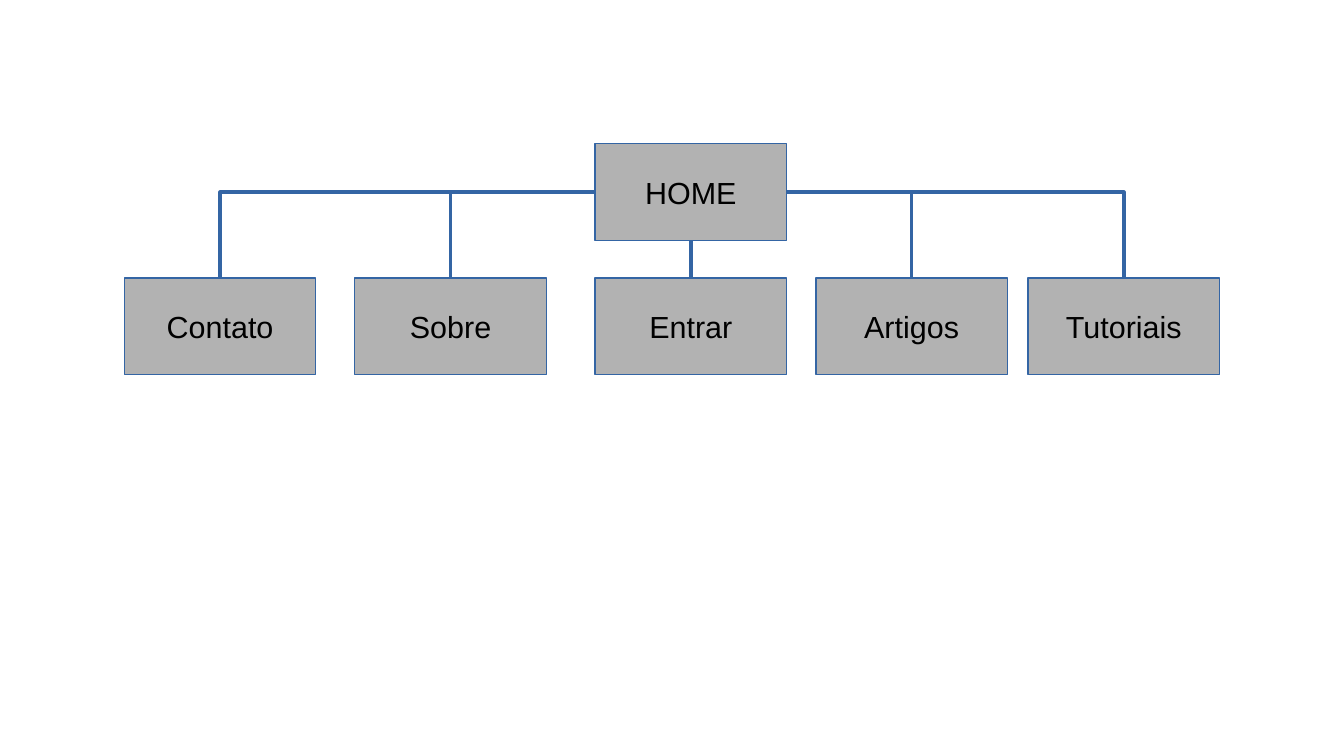
"""Build a site map slide: a home page linked to five sub-pages."""
from lxml import etree
from pptx import Presentation
from pptx.dml.color import RGBColor
from pptx.enum.shapes import MSO_CONNECTOR, MSO_SHAPE
from pptx.enum.text import MSO_ANCHOR, PP_ALIGN
from pptx.oxml.ns import qn
from pptx.util import Inches, Pt

RECTANGLE = MSO_SHAPE.RECTANGLE
STRAIGHT, ELBOW = MSO_CONNECTOR.STRAIGHT, MSO_CONNECTOR.ELBOW
MIDDLE, CENTER = MSO_ANCHOR.MIDDLE, PP_ALIGN.CENTER
GRAY = RGBColor(0xB2, 0xB2, 0xB2)
BLUE = RGBColor(0x34, 0x65, 0xA4)
BLACK = RGBColor(0, 0, 0)
TOP, LEFT, BOTTOM, RIGHT = range(4)

HOME = ("HOME", 4.88)
SUBPAGES = [
    ("Contato", 1.02),
    ("Sobre", 2.91),
    ("Entrar", 4.88),
    ("Artigos", 6.69),
    ("Tutoriais", 8.43),
]
HOME_TOP, SUBPAGE_TOP = 1.18, 2.28
BOX_WIDTH, BOX_HEIGHT = 1.57, 0.79


def write_text(box, text, size=18, font="Arial", color=BLACK):
    frame = box.text_frame
    frame.word_wrap = False
    frame.vertical_anchor = MIDDLE
    para = frame.paragraphs[0]
    para.alignment = CENTER
    span = para.add_run()
    span.text = text
    span.font.size = Pt(size)
    span.font.name = font
    span.font.color.rgb = color


def style_line(line):
    line.color.rgb = BLUE
    line.width = Pt(0)


def add_box(page, text, left, top):
    box = page.shapes.add_shape(
        RECTANGLE, Inches(left), Inches(top), Inches(BOX_WIDTH), Inches(BOX_HEIGHT))
    box.shadow.inherit = False
    box.fill.solid()
    box.fill.fore_color.rgb = GRAY
    style_line(box.line)
    write_text(box, text)
    return box


def link(page, home, subpage):
    if subpage.left == home.left:
        kind, side = STRAIGHT, BOTTOM
    else:
        kind, side = ELBOW, LEFT if subpage.left < home.left else RIGHT
    connector = page.shapes.add_connector(kind, 0, 0, 0, 0)
    connector.begin_connect(home, side)
    connector.end_connect(subpage, TOP)
    style_line(connector.line)
    properties = connector._element.spPr
    if kind == ELBOW:
        properties.find(qn("a:prstGeom")).set("prst", "bentConnector2")
    etree.SubElement(properties, qn("a:effectLst"))


def main():
    deck = Presentation()
    deck.slide_width, deck.slide_height = Inches(11.02), Inches(6.2)
    page = deck.slides.add_slide(deck.slide_layouts[6])
    home = add_box(page, *HOME, HOME_TOP)
    subpages = [add_box(page, text, left, SUBPAGE_TOP) for text, left in SUBPAGES]
    for subpage in subpages:
        link(page, home, subpage)
    deck.save("out.pptx")


if __name__ == "__main__":
    main()
